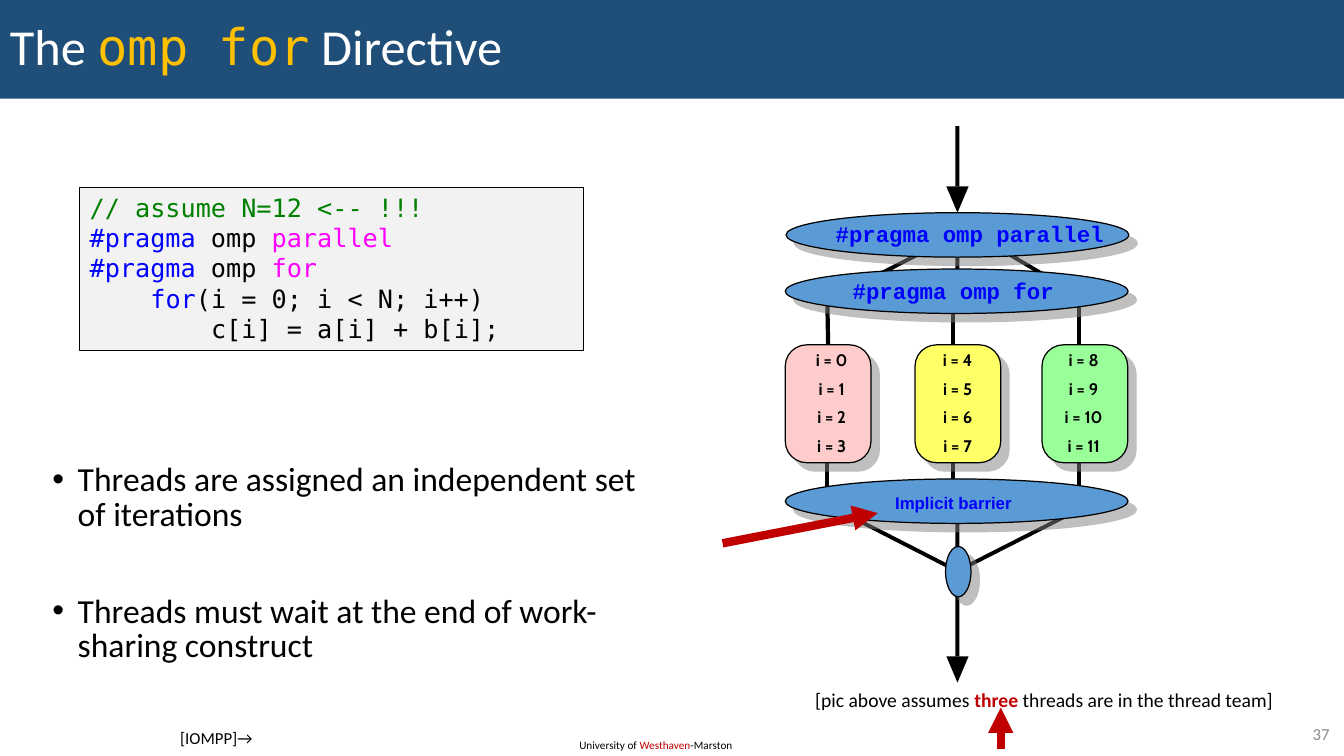
from lxml.etree import SubElement as Sub
from pptx import Presentation
from pptx.dml.color import RGBColor
from pptx.enum.shapes import MSO_CONNECTOR as Link, MSO_SHAPE as Form
from pptx.enum.text import MSO_ANCHOR as Anchor, PP_ALIGN as Align
from pptx.oxml.ns import qn
from pptx.util import Cm, Pt

MONO = "DejaVu Sans Mono"
BLACK, BLUE, RED, PINK, WHITE = "000000", "0000FF", "C00000", "FF00FF", "FFFFFF"
STEEL = "5B9BD5"
MID = 24.13
STEP = 3.175


def ink(code):
    return RGBColor.from_string(code)


def style(item, vals):
    for key, val in vals.items():
        setattr(item, key, val)


def paint(shape, fill, line=None, width=0.88):
    shape.shadow.inherit = False
    shape.fill.solid()
    shape.fill.fore_color.rgb = ink(fill)
    if line:
        shape.line.color.rgb = ink(line)
        shape.line.width = Pt(width)
    else:
        shape.line.fill.background()
    return shape


def draw(slide, form, box, fill, line=None, width=0.88):
    shape = slide.shapes.add_shape(form, *map(Cm, box))
    return paint(shape, fill, line, width)


def cast(shape):
    effects = shape._element.spPr.find(qn("a:effectLst"))
    shade = Sub(effects, qn("a:outerShdw"), dist="107950", dir="2700000",
                algn="ctr", rotWithShape="0")
    tone = Sub(shade, qn("a:srgbClr"), val="808080")
    Sub(tone, qn("a:alpha"), val="50000")
    return shape


def node(slide, form, box, fill):
    return cast(draw(slide, form, box, fill, BLACK))


def write(shape, paras, size, font="Calibri", para=None, frame=None, bold=False):
    body = shape.text_frame
    style(body, {"word_wrap": True, "vertical_anchor": Anchor.TOP, **(frame or {})})
    for i, runs in enumerate(paras):
        p = body.add_paragraph() if i else body.paragraphs[0]
        style(p, {"alignment": Align.LEFT, **(para or {})})
        for words, tint, *extra in runs:
            run = p.add_run()
            run.text = words
            look = {"size": Pt(size), "name": font, "bold": bold}
            style(run.font, {**look, **(extra[0] if extra else {})})
            run.font.color.rgb = ink(tint)
    return body


def label(slide, box, paras, size, **opts):
    shape = slide.shapes.add_textbox(*map(Cm, box))
    return write(shape, paras, size, **opts)


def indent(p, left, first=0, mark=None):
    props = p._p.get_or_add_pPr()
    props.set("marL", str(Cm(left)))
    props.set("indent", str(Cm(first)))
    if mark:
        Sub(props, qn("a:buFont"), typeface="Arial")
        Sub(props, qn("a:buChar"), char=mark)


def join(slide, ends, tint, width, head=False):
    link = slide.shapes.add_connector(Link.STRAIGHT, *map(Cm, ends))
    link.line.color.rgb = ink(tint)
    link.line.width = Pt(width)
    if head:
        Sub(link.line._get_or_add_ln(), qn("a:tailEnd"), type="triangle")
    Sub(link._element.spPr, qn("a:effectLst"))
    return link


def poly(slide, points):
    spots = [(Cm(x), Cm(y)) for x, y in points]
    pen = slide.shapes.build_freeform(*spots[0])
    pen.add_line_segments(spots[1:])
    paint(pen.convert_to_shape(), BLACK)


def bar(slide, x, y, end, low):
    dx = 0.03 if end > x else -0.03
    dy = 0.04
    poly(slide, [(x - dx, y + dy), (x + dx, y - dy),
                 (end + dx, low - dy), (end - dx, low + dy)])


def stem(slide, top, tall):
    return draw(slide, Form.RECTANGLE, (MID - 0.05, top, 0.1, tall), BLACK)


def arrow(slide, top, tall):
    stem(slide, top, tall)
    tip = top + tall
    poly(slide, [(MID - 0.28, tip), (MID, tip + 0.66), (MID + 0.28, tip)])


def flow(slide):
    links = []
    for i in range(3):
        x = 20.85 + STEP * i
        links.append(join(slide, (x, 7.62, x, 8.69), BLACK, 3))
        join(slide, (x, 12.3, x, 11.2), BLACK, 3)

    for ends in ((MID, 5.64, 27.38, 7.56), (MID, 5.9, 20.9, 7.56),
                 (27.38, 12.74, MID, 14.39), (20.9, 12.74, MID, 14.39)):
        bar(slide, *ends)
    stem(slide, 5.89, 1.65)
    stem(slide, 12.73, 1.12)

    cards = []
    for x, fill in ((19.79, "FFCCCC"), (23.06, "FFFF66"), (26.26, "99FF99")):
        card = node(slide, Form.ROUNDED_RECTANGLE, (x, 8.69, 2.16, 2.97), fill)
        card.adjustments[0] = 0.25
        cards.append(card)
    links[0].end_connect(cards[0], 0)

    arrow(slide, 3.18, 1.52)
    arrow(slide, 14.94, 1.6)
    node(slide, Form.OVAL, (23.83, 13.77, 0.64, 1.27), STEEL)

    bare = {"margin_left": 0, "margin_right": 0, "margin_top": 0,
            "margin_bottom": 0, "word_wrap": False}
    for left, top, words, box, size, font in (
            (19.81, 5.36, "#pragma omp parallel", (21.06, 5.56, 6.78, 0.69), 16, "Courier New"),
            (19.79, 6.78, "#pragma omp for", (21.49, 6.99, 5.11, 0.69), 16, "Courier New"),
            (19.79, 12.07, "Implicit barrier", (22.56, 12.42, 2.97, 0.51), 12, "Arial")):
        node(slide, Form.OVAL, (left, top, 8.64, 1.12), STEEL)
        label(slide, box, [[(words, BLUE)]], size, font=font, frame=bare, bold=True)

    for i in range(3):
        rows = [[(f"i = {n}", BLACK)] for n in range(4 * i, 4 * i + 4)]
        label(slide, (19.79 + STEP * i, 8.69, 2.34, 3.05), rows, 12, font="Cabin",
              para={"alignment": Align.CENTER, "space_after": Pt(6)}, bold=True)


def code(slide):
    lines = [
        [("// assume N=12 <-- !!!", "008000")],
        [("#pragma ", BLUE), ("omp ", BLACK), ("parallel", PINK)],
        [("#pragma ", BLUE), ("omp ", BLACK), ("for", PINK)],
        [("for", BLUE), ("(i = 0; i < N; i++)", BLACK)],
        [("c[i] = a[i] + b[i];", BLACK)],
    ]
    panel = draw(slide, Form.RECTANGLE, (2.01, 4.72, 12.7, 4.11), "F2F2F2", BLACK, 0.75)
    body = write(panel, lines, 18, font=MONO)
    for depth, p in enumerate(body.paragraphs[3:], 1):
        indent(p, 1.53 * depth)


def main():
    deck = Presentation()
    style(deck, {"slide_width": Cm(33.87), "slide_height": Cm(19.05)})
    slide = deck.slides.add_slide(deck.slide_layouts[6])

    label(slide, (14.35, 18.49, 4.37, 0.61),
          [[("University of ", BLACK), ("Westhaven", RED), ("-Marston", BLACK)]], 8)
    title = draw(slide, Form.RECTANGLE, (0, 0, 33.87, 2.49), "1F4E79")
    write(title, [[("The ", WHITE), ("omp for", "FFC000", {"name": MONO}),
                   (" Directive", WHITE)]], 36,
          para={"line_spacing": 0.9}, frame={"vertical_anchor": Anchor.MIDDLE})

    points = label(slide, (1.07, 11.58, 15.65, 5.97), [
        [("Threads are assigned an independent set of iterations", BLACK)],
        [("Threads must wait at the end of work-sharing construct", BLACK)],
    ], 24, para={"line_spacing": 0.85, "space_after": Pt(45)})
    for p in points.paragraphs:
        indent(p, 0.64, -0.64, "•")

    label(slide, (31.83, 18.11, 1.93, 0.74), [[("37", "8C8C8C")]], 12,
          para={"alignment": Align.RIGHT}, frame={"vertical_anchor": Anchor.MIDDLE})
    flow(slide)
    code(slide)
    label(slide, (4.29, 18.21, 2.9, 0.76), [[("[IOMPP]→", BLACK)]], 12)
    join(slide, (18.21, 13.69, 22.12, 12.93), RED, 6, True)
    label(slide, (20.29, 17.2, 13, 0.86),
          [[("[pic above assumes ", BLACK), ("three", RED, {"bold": True}),
            (" threads are in the thread team]", BLACK)]], 14)
    join(slide, (25.22, 18.87, 25.22, 17.83), RED, 6, True)
    deck.save("out.pptx")


if __name__ == "__main__":
    main()
